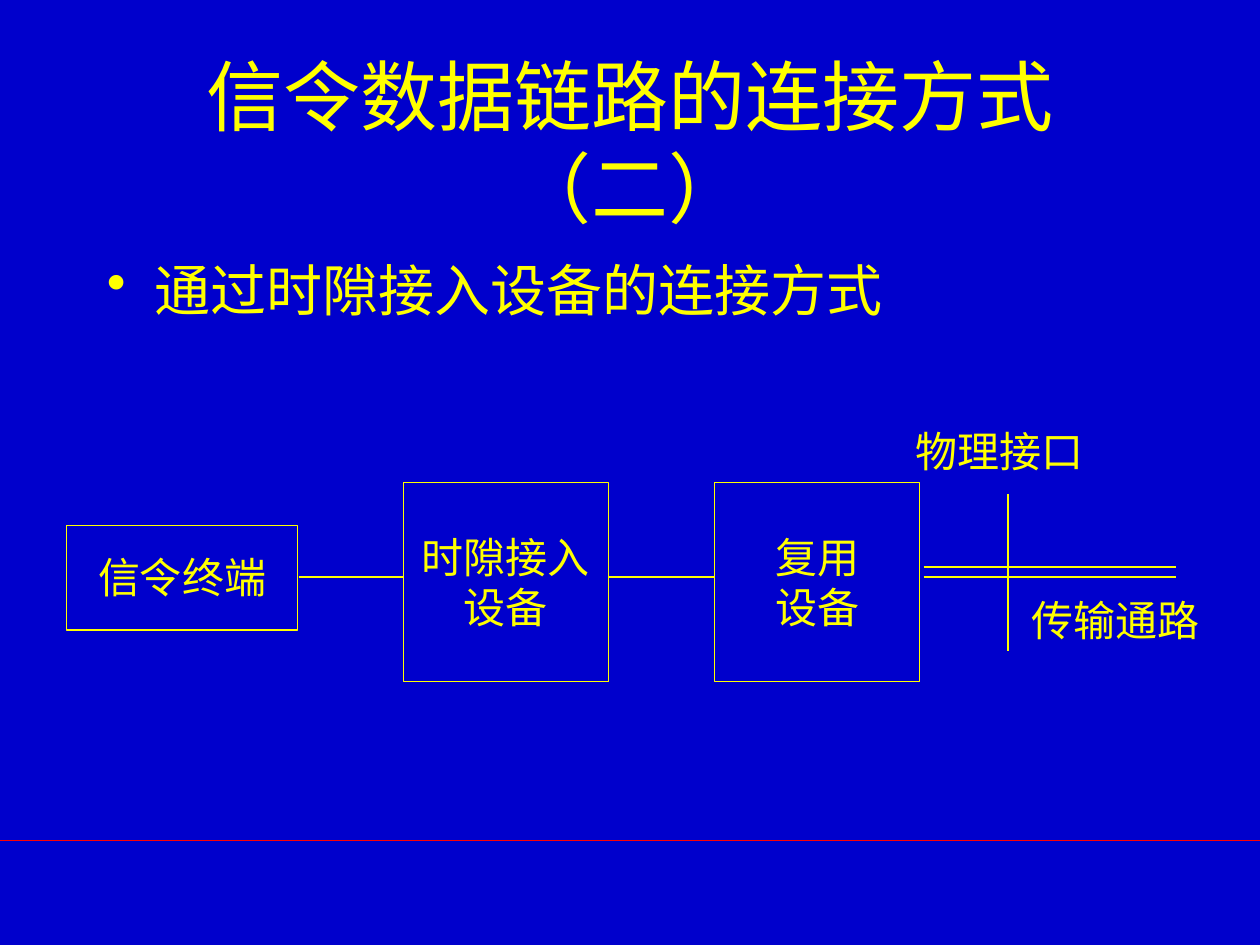
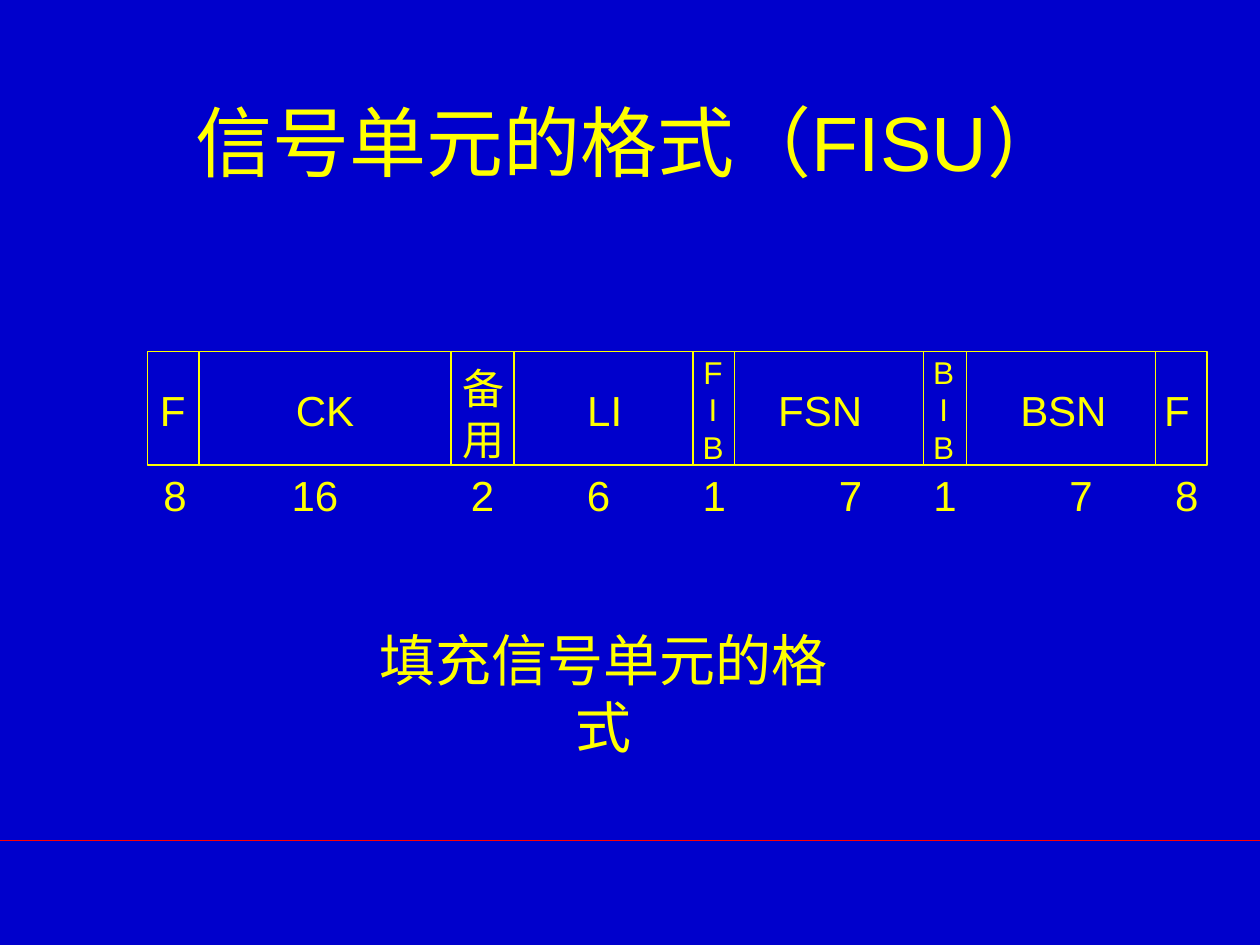
from lxml.etree import SubElement
from pptx import Presentation
from pptx.dml.color import RGBColor
from pptx.enum.shapes import MSO_CONNECTOR, MSO_SHAPE
from pptx.enum.text import MSO_ANCHOR, PP_ALIGN
from pptx.oxml.ns import qn
from pptx.util import Inches, Pt

BLUE, YELLOW, RED = "0000CC", "FFFF00", "FF0000"
SANS, SERIF = "Arial", "Times New Roman"

# label, bits, width, label centre and bits centre (from the frame's left edge)
FISU_FIELDS = [
    ("F", "8", 0.41, 0.2, 0.22),
    ("CK", "16", 2.0, 1.41, 1.33),
    ("备\n用", "2", 0.5, 2.67, 2.66),
    ("LI", "6", 1.42, 3.63, 3.58),
    ("F\nI\nB", "1", 0.33, 4.49, 4.5),
    ("FSN", "7", 1.5, 5.34, 5.58),
    ("B\nI\nB", "1", 0.34, 6.32, 6.33),
    ("BSN", "7", 1.5, 7.27, 7.41),
    ("F", "8", 0.41, 8.17, 8.25),
]


def colour(value):
    return RGBColor.from_string(value)


def add_text(page, text, left, top, width, height, size=24, font=SANS,
             align=PP_ALIGN.CENTER, anchor=MSO_ANCHOR.TOP, wrap=False, bullet=False):
    box = page.shapes.add_textbox(Inches(left), Inches(top), Inches(width), Inches(height))
    frame = box.text_frame
    frame.word_wrap = wrap
    frame.vertical_anchor = anchor
    for index, line in enumerate(text.split("\n")):
        para = frame.paragraphs[0] if index == 0 else frame.add_paragraph()
        para.alignment = align
        if bullet:
            properties = para._p.get_or_add_pPr()
            properties.set("marL", str(Inches(0.38)))
            properties.set("indent", str(-Inches(0.38)))
            SubElement(properties, qn("a:buChar")).set("char", "•")
        span = para.add_run()
        span.text = line
        span.font.size = Pt(size)
        span.font.name = font
        span.font.color.rgb = colour(YELLOW)
    return box


def add_line(page, x1, y1, x2, y2, line=YELLOW, weight=0.75):
    connector = page.shapes.add_connector(
        MSO_CONNECTOR.STRAIGHT, Inches(x1), Inches(y1), Inches(x2), Inches(y2))
    connector.line.color.rgb = colour(line)
    connector.line.width = Pt(weight)
    SubElement(connector._element.spPr, qn("a:effectLst"))


def add_frame(page, left, top, width, height, weight=0.75):
    box = page.shapes.add_shape(
        MSO_SHAPE.RECTANGLE, Inches(left), Inches(top), Inches(width), Inches(height))
    box.shadow.inherit = False
    box.fill.background()
    box.line.color.rgb = colour(YELLOW)
    box.line.width = Pt(weight)


def add_page(deck, title):
    """Shared background, footer rule and title."""
    page = deck.slides.add_slide(deck.slide_layouts[6])
    page.background.fill.solid()
    page.background.fill.fore_color.rgb = colour(BLUE)
    add_line(page, 0, 6.67, 10, 6.67, line=RED, weight=1)
    add_text(page, title, 0.75, 0.49, 8.5, 1.25, size=44,
             anchor=MSO_ANCHOR.MIDDLE, wrap=True)
    return page


def add_device(page, text, left, top, width, height, text_top):
    add_frame(page, left, top, width, height)
    add_text(page, text, left, top + text_top, width, 0.5, font=SERIF)


def add_transmission_path(page, left, axis):
    """Double transmission line crossed by the physical interface."""
    for y in (axis, axis - 0.08):
        add_line(page, left, y, left + 2, y)
    add_line(page, left + 0.67, axis - 0.66, left + 0.67, axis + 0.59)
    add_text(page, "物理接口", left - 0.16, axis - 1.25, 1.53, 0.5, font=SERIF)
    add_text(page, "传输通路", left + 0.76, axis + 0.09, 1.53, 0.5, font=SERIF)


def add_link_diagram(page, axis):
    """Chain of devices joined along one horizontal axis."""
    add_device(page, "信令终端", 0.53, axis - 0.41, 1.83, 0.83, 0.16)
    add_device(page, "时隙接入\n设备", 3.2, axis - 0.75, 1.63, 1.58, 0.34)
    add_device(page, "复用\n设备", 5.67, axis - 0.75, 1.63, 1.58, 0.34)
    for start, end in ((2.37, 3.2), (4.83, 5.67)):
        add_line(page, start, axis, end, axis)
    add_transmission_path(page, 7.33, axis)


def add_signal_unit(page, fields, left, top, height):
    """Frame divided into fields, with the bit count under each."""
    label_tops = {1: 0.21, 2: 0.04, 3: -0.04}
    add_frame(page, left, top, sum(field[2] for field in fields), height, weight=1)
    edge = left
    for index, (label, bits, width, label_centre, bits_centre) in enumerate(fields):
        if index:
            add_line(page, edge, top, edge, top + height, weight=1)
        lines = label.count("\n") + 1
        add_text(page, label, left + label_centre - 0.45, top + label_tops[lines], 0.9, 0.5,
                 size=18 if lines == 3 else 24)
        add_text(page, bits, left + bits_centre - 0.3, top + 0.89, 0.6, 0.5)
        edge += width


def build_connection_page(deck):
    page = add_page(deck, "信令数据链路的连接方式（二）")
    add_text(page, "通过时隙接入设备的连接方式", 0.75, 1.98, 8.5, 4.5, size=32,
             align=PP_ALIGN.LEFT, wrap=True, bullet=True)
    add_link_diagram(page, axis=4.58)


def build_format_page(deck):
    page = add_page(deck, "信号单元的格式（FISU）")
    add_signal_unit(page, FISU_FIELDS, 1.17, 2.79, 0.9)
    add_text(page, "填充信号单元的格式", 2.69, 5.18, 4.2, 0.64, size=32, font=SERIF,
             anchor=MSO_ANCHOR.MIDDLE)


def main():
    deck = Presentation()
    deck.slide_width, deck.slide_height = Inches(10), Inches(7.5)
    build_connection_page(deck)
    build_format_page(deck)
    deck.save("out.pptx")


if __name__ == "__main__":
    main()
